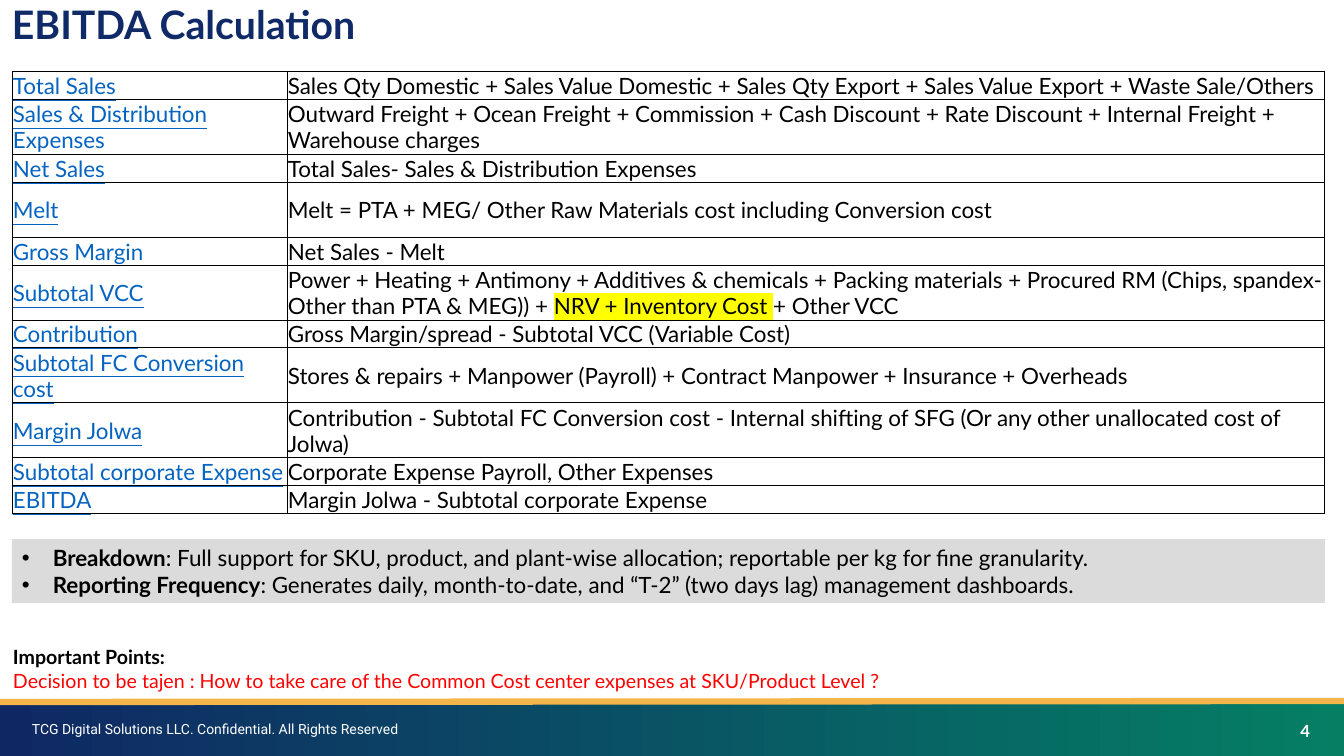
import pptx
import pptx.dml.color
import pptx.enum.dml
import pptx.enum.shapes
import pptx.enum.text
import pptx.oxml
import pptx.oxml.ns
import pptx.util
from dataclasses import dataclass
from lxml import etree

SCALE = 914400 / 100.8  # EMU per px


def px(length):
    return pptx.util.Emu(round(length * SCALE))


def rgb(color):
    return pptx.dml.color.RGBColor.from_string(color)


def sub(parent, tag, **attributes):
    return etree.SubElement(parent, pptx.oxml.ns.qn(tag), **attributes)


@dataclass(frozen=True)
class Theme:
    navy: str = "0F2864"
    green: str = "047F64"
    gold: str = "F4B64A"
    heading: str = "102A68"
    term: str = "0563C1"
    ink: str = "000000"
    white: str = "FFFFFF"
    alert: str = "FF0000"
    marker: str = "FFFF00"
    panel: str = "DBDBDB"
    font: str = "Lato"
    footer_font: str = "Roboto"
    title_size: int = 28
    body_size: int = 16
    note_size: int = 14
    page_size: int = 12
    footer_size: int = 10


class SlideBuilder:
    def __init__(self, slide, theme):
        self.shapes = slide.shapes
        self.theme = theme

    def run(self, paragraph, text, size, color, bold=False, underline=False,
            highlight=None, font=None):
        run = paragraph.add_run()
        run.text = text
        run.font.size = pptx.util.Pt(size)
        run.font.name = font or self.theme.font
        run.font.bold = bold
        run.font.underline = underline
        run.font.color.rgb = rgb(color)
        if highlight:
            properties = run.font._element
            marker = sub(properties, "a:highlight")
            sub(marker, "a:srgbClr", val=highlight)
            properties.find(pptx.oxml.ns.qn("a:solidFill")).addnext(marker)

    def text(self, box, text, size, color, inset=True, align=None, **style):
        frame = self.shapes.add_textbox(*map(px, box)).text_frame
        frame.word_wrap = True
        if not inset:
            frame.margin_left = frame.margin_right = 0
            frame.margin_top = frame.margin_bottom = 0
        paragraph = frame.paragraphs[0]
        if align:
            paragraph.alignment = align
        self.run(paragraph, text, size, color, **style)

    def rectangle(self, box):
        shape = self.shapes.add_shape(
            pptx.enum.shapes.MSO_SHAPE.RECTANGLE, *map(px, box))
        shape.shadow.inherit = False
        shape.line.fill.background()
        return shape

    def gradient_bar(self, box, colors):
        fill = self.rectangle(box).fill
        fill.gradient()
        fill.gradient_angle = 0
        for stop, color in zip(fill.gradient_stops, colors):
            stop.color.rgb = rgb(color)

    def line(self, start, end, color, width):
        line = self.shapes.add_connector(
            pptx.enum.shapes.MSO_CONNECTOR.STRAIGHT, *map(px, start + end))
        line.line.color.rgb = rgb(color)
        line.line.width = pptx.util.Pt(width)
        sub(line._element.spPr, "a:effectLst")

    def bullet_panel(self, box, points):
        panel = self.rectangle(box)
        panel.fill.solid()
        panel.fill.fore_color.rgb = rgb(self.theme.panel)
        frame = panel.text_frame
        frame.word_wrap = True
        for index, (label, detail) in enumerate(points):
            paragraph = frame.add_paragraph() if index else frame.paragraphs[0]
            paragraph.alignment = pptx.enum.text.PP_ALIGN.LEFT
            properties = paragraph._p.get_or_add_pPr()
            properties.set("marL", str(px(31)))
            properties.set("indent", str(-px(31)))
            bullet_color = sub(properties, "a:buClr")
            sub(bullet_color, "a:srgbClr", val=self.theme.ink)
            sub(properties, "a:buFont", typeface="Arial")
            sub(properties, "a:buChar", char="•")
            self.run(paragraph, label, self.theme.body_size, self.theme.ink, bold=True)
            self.run(paragraph, detail, self.theme.body_size, self.theme.ink)

    def table(self, left, top, widths, heights, rows, border=None):
        """Each cell is a list of (text, style) runs."""
        table = self.shapes.add_table(
            len(heights), len(widths), px(left), px(top),
            px(sum(widths)), px(sum(heights))).table
        table.first_row = table.horz_banding = False
        for column, width in zip(table.columns, widths):
            column.width = px(width)
        for row, height, contents in zip(table.rows, heights, rows):
            row.height = px(height)
            for cell, runs in zip(row.cells, contents):
                self.cell(cell, runs, border)

    def cell(self, cell, runs, border):
        cell.margin_left = cell.margin_right = cell.margin_top = px(1)
        cell.margin_bottom = 0
        cell.vertical_anchor = pptx.enum.text.MSO_ANCHOR.MIDDLE
        properties = cell._tc.get_or_add_tcPr()
        for side in ("a:lnL", "a:lnR", "a:lnT", "a:lnB"):
            if border:
                edge = sub(properties, side, w=str(pptx.util.Pt(0.5)))
                sub(sub(edge, "a:solidFill"), "a:srgbClr", val=border)
            else:
                sub(sub(properties, side, w="0"), "a:noFill")
        cell.fill.background()
        for text, style in runs:
            self.run(cell.text_frame.paragraphs[0], text, **style)


THEME = Theme()
ONE_LINE, TWO_LINES = 28, 55
TERM = dict(size=THEME.body_size, color=THEME.term, underline=True)
FORMULA = dict(size=THEME.body_size, color=THEME.ink)
MARKED = dict(FORMULA, highlight=THEME.marker)

# Term, row height, formula runs
CALCULATION = [
    ("Total Sales", ONE_LINE, [("Sales Qty Domestic + Sales Value Domestic + Sales Qty Export + "
                                "Sales Value Export + Waste Sale/Others", FORMULA)]),
    ("Sales & Distribution Expenses", TWO_LINES,
     [("Outward Freight + Ocean Freight + Commission + Cash Discount + Rate Discount + "
       "Internal Freight + Warehouse charges", FORMULA)]),
    ("Net Sales", ONE_LINE, [("Total Sales- Sales & Distribution Expenses", FORMULA)]),
    ("Melt", TWO_LINES,
     [("Melt = PTA + MEG/ Other Raw Materials cost including Conversion cost", FORMULA)]),
    ("Gross Margin", ONE_LINE, [("Net Sales - Melt", FORMULA)]),
    ("Subtotal VCC", TWO_LINES,
     [("Power + Heating + Antimony + Additives & chemicals + Packing materials + "
       "Procured RM (Chips, spandex- Other than PTA & MEG)) + ", FORMULA),
      ("NRV + Inventory Cost ", MARKED), ("+ Other VCC", FORMULA)]),
    ("Contribution", ONE_LINE,
     [("Gross Margin/spread - Subtotal VCC (Variable Cost)", FORMULA)]),
    ("Subtotal FC Conversion cost", TWO_LINES,
     [("Stores & repairs + Manpower (Payroll) + Contract Manpower + Insurance + Overheads",
       FORMULA)]),
    ("Margin Jolwa", TWO_LINES,
     [("Contribution - Subtotal FC Conversion cost - Internal shifting of SFG "
       "(Or any other unallocated cost of Jolwa)", FORMULA)]),
    ("Subtotal corporate Expense", ONE_LINE,
     [("Corporate Expense Payroll, Other Expenses", FORMULA)]),
    ("EBITDA", ONE_LINE, [("Margin Jolwa - Subtotal corporate Expense", FORMULA)]),
]
IMPORTANT_POINTS = [
    [[("Important Points:", dict(size=THEME.note_size, color=THEME.ink, bold=True))]],
    [[("Decision to be tajen : How to take care of the Common Cost center expenses "
       "at SKU/Product Level ?", dict(size=THEME.note_size, color=THEME.alert))]],
]
REPORTING = [
    ("Breakdown", ": Full support for SKU, product, and plant-wise allocation; "
                  "reportable per kg for fine granularity."),
    ("Reporting Frequency", ": Generates daily, month-to-date, and “T-2” (two days lag) "
                            "management dashboards."),
]


def main():
    deck = pptx.Presentation()
    deck.slide_width, deck.slide_height = px(1344), px(756)
    page = SlideBuilder(deck.slides.add_slide(deck.slide_layouts[6]), THEME)

    # Footer
    page.gradient_bar((0, 701, 1344, 55), (THEME.navy, THEME.green))
    page.line((0, 702), (1344, 701), THEME.gold, 4.5)
    page.text((22, 716, 431, 27),
              "TCG Digital Solutions LLC. Confidential. All Rights Reserved",
              THEME.footer_size, THEME.white, font=THEME.footer_font)
    page.text((1210, 716, 110, 40), "4", THEME.page_size, THEME.white,
              align=pptx.enum.text.PP_ALIGN.RIGHT, bold=True)

    # Title
    page.text((12, 0, 904, 47), "EBITDA Calculation", THEME.title_size,
              THEME.heading, inset=False, bold=True)

    # Calculation steps
    page.table(12, 71, (275, 1037), [height for _, height, _ in CALCULATION],
               [([(term, TERM)], formula) for term, _, formula in CALCULATION],
               border=THEME.ink)

    # Open decision
    page.table(12, 644, (881,), (24, 24), IMPORTANT_POINTS)

    # Reporting notes
    page.bullet_panel((12, 539, 1313, 64), REPORTING)

    deck.save("out.pptx")


if __name__ == "__main__":
    main()
